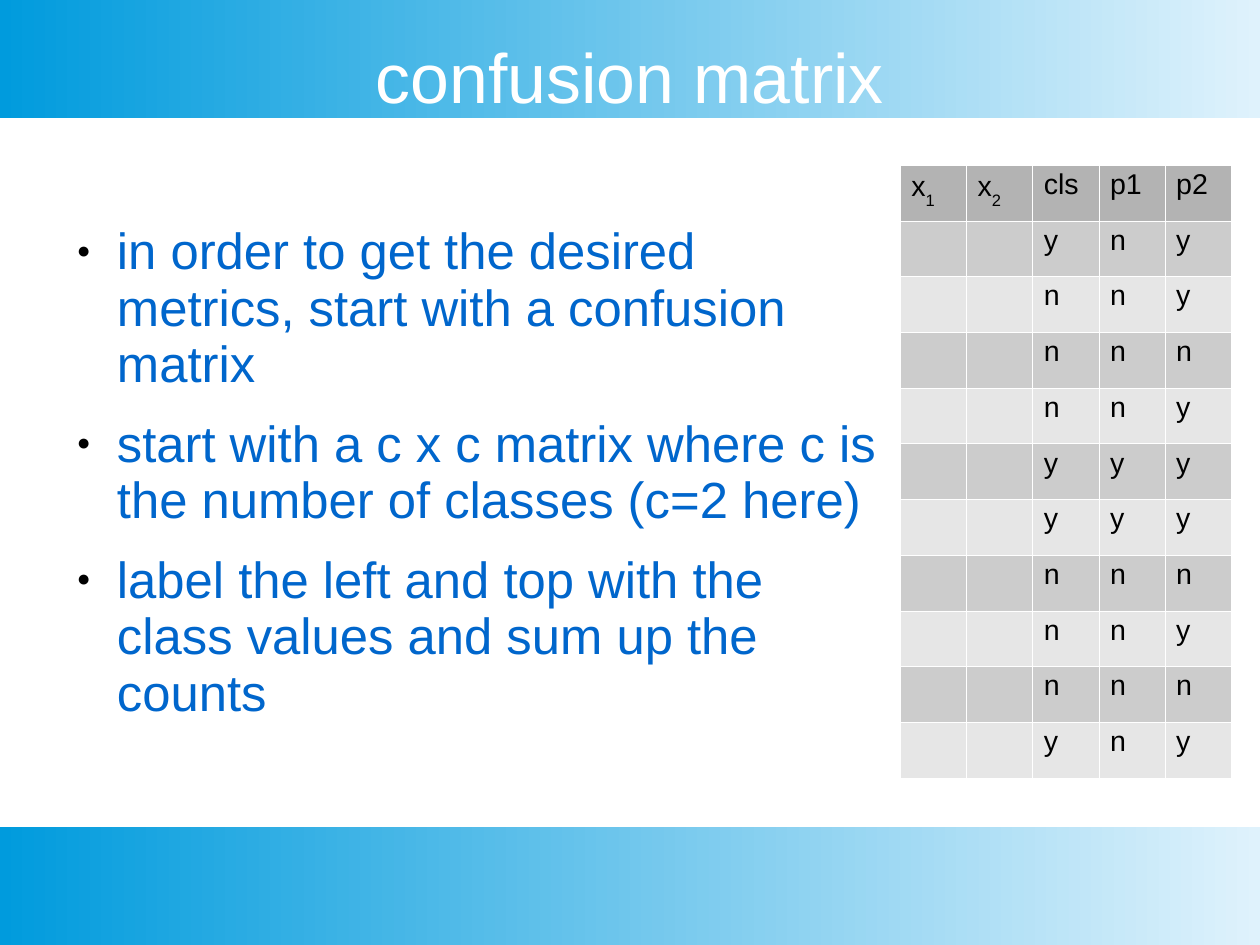
"""Build the confusion matrix slide with its bullets and prediction table."""
from lxml.etree import SubElement
from pptx import Presentation
from pptx.dml.color import RGBColor
from pptx.enum.shapes import MSO_SHAPE as SHAPE
from pptx.enum.text import MSO_ANCHOR as ANCHOR, MSO_AUTO_SIZE as AUTO, PP_ALIGN as ALIGN
from pptx.oxml.ns import qn
from pptx.util import Pt

PX = 8000
W, H, BAND_H = 1260, 945, 118
FONT = "Arial"
SPACING = 0.93
WHITE = RGBColor(0xFF, 0xFF, 0xFF)
BLACK = RGBColor(0, 0, 0)
PALE_BLUE = RGBColor(0xDF, 0xF2, 0xFC)
DEEP_BLUE = RGBColor(0x00, 0x9B, 0xDD)
TEXT_BLUE = RGBColor(0x00, 0x66, 0xCC)
HEADER_GREY = RGBColor(0xB3, 0xB3, 0xB3)
ROW_GREYS = (RGBColor(0xCC, 0xCC, 0xCC), RGBColor(0xE6, 0xE6, 0xE6))

BULLETS = (
    "in order to get the desired metrics, start with a confusion matrix",
    "start with a c x c matrix where c is the number of classes (c=2 here)",
    "label the left and top with the class values and sum up the counts",
)
HEADER = ("x", "x", "cls", "p1", "p2")
SUBSCRIPTS = ("1", "2")
OUTCOMES = ("yny", "nny", "nnn", "nny", "yyy", "yyy", "nnn", "nny", "nnn", "yny")


def px(*lengths):
    return [n * PX for n in lengths]


def format_paragraph(p, size, color):
    p.line_spacing = SPACING
    for r in p.runs:
        r.font.name, r.font.size, r.font.color.rgb = FONT, Pt(size), color


def set_margins(tf, top):
    tf.margin_left = tf.margin_right = tf.margin_bottom = 0
    tf.margin_top = top * PX
    tf.word_wrap = True
    tf.auto_size = AUTO.NONE


def add_band(s, top):
    band = s.shapes.add_shape(SHAPE.RECTANGLE, *px(0, top, W, BAND_H))
    band.shadow.inherit = False
    band.line.fill.background()
    band.fill.gradient()
    band.fill.gradient_angle = 180
    for stop, color in zip(band.fill.gradient_stops, (PALE_BLUE, DEEP_BLUE)):
        stop.color.rgb = color
    s.shapes.title.element.addprevious(band.element)


def set_title(s, text):
    title = s.shapes.title
    title.left, title.top, title.width, title.height = px(63, 38, 1134, 80)
    tf = title.text_frame
    set_margins(tf, 5)
    tf.vertical_anchor = ANCHOR.MIDDLE
    tf.text = text
    p = tf.paragraphs[0]
    p.alignment = ALIGN.CENTER
    format_paragraph(p, 44, WHITE)


def add_bullet(p):
    pPr = p._p.get_or_add_pPr()
    pPr.set("marL", str(54 * PX))
    pPr.set("indent", str(-40 * PX))
    SubElement(SubElement(pPr, qn("a:buClr")), qn("a:srgbClr"), val=str(BLACK))
    SubElement(pPr, qn("a:buSzPct"), val="45000")
    SubElement(pPr, qn("a:buFont"), typeface=FONT)
    SubElement(pPr, qn("a:buChar"), char="●")


def add_bullets(s, texts):
    tf = s.shapes.add_textbox(*px(63, 221, 817, 549)).text_frame
    set_margins(tf, 3)
    tf.text = "\n".join(texts)
    for p in tf.paragraphs:
        format_paragraph(p, 32, TEXT_BLUE)
        p.space_before = Pt(14.3)
        add_bullet(p)


def style_cell(cell, fill):
    tcPr = cell._tc.get_or_add_tcPr()
    for side in ("lnL", "lnR", "lnT", "lnB"):
        ln = SubElement(tcPr, qn(f"a:{side}"), w=str(Pt(0.06)))
        SubElement(SubElement(ln, qn("a:solidFill")), qn("a:srgbClr"), val=str(WHITE))
    cell.fill.solid()
    cell.fill.fore_color.rgb = fill
    format_paragraph(cell.text_frame.paragraphs[0], 18, BLACK)


def add_subscript(cell, text):
    r = cell.text_frame.paragraphs[0].add_run()
    r.text = text
    r._r.get_or_add_rPr().set("baseline", "-33000")


def add_predictions(s):
    rows = [HEADER] + [("", "", *outcome) for outcome in OUTCOMES]
    frame = s.shapes.add_table(len(rows), len(HEADER), *px(900, 165, 331, 613))
    table = frame.table
    table.first_row = table.horz_banding = False
    for i, row in enumerate(rows):
        fill = ROW_GREYS[(i - 1) % 2] if i else HEADER_GREY
        for j, text in enumerate(row):
            cell = table.cell(i, j)
            cell.text_frame.text = text
            if i == 0 and j < len(SUBSCRIPTS):
                add_subscript(cell, SUBSCRIPTS[j])
            style_cell(cell, fill)


def main():
    prs = Presentation()
    prs.slide_width, prs.slide_height = px(W, H)
    s = prs.slides.add_slide(prs.slide_layouts[5])
    for top in (0, H - BAND_H):
        add_band(s, top)
    set_title(s, "confusion matrix")
    add_bullets(s, BULLETS)
    add_predictions(s)
    prs.save("out.pptx")


if __name__ == "__main__":
    main()
